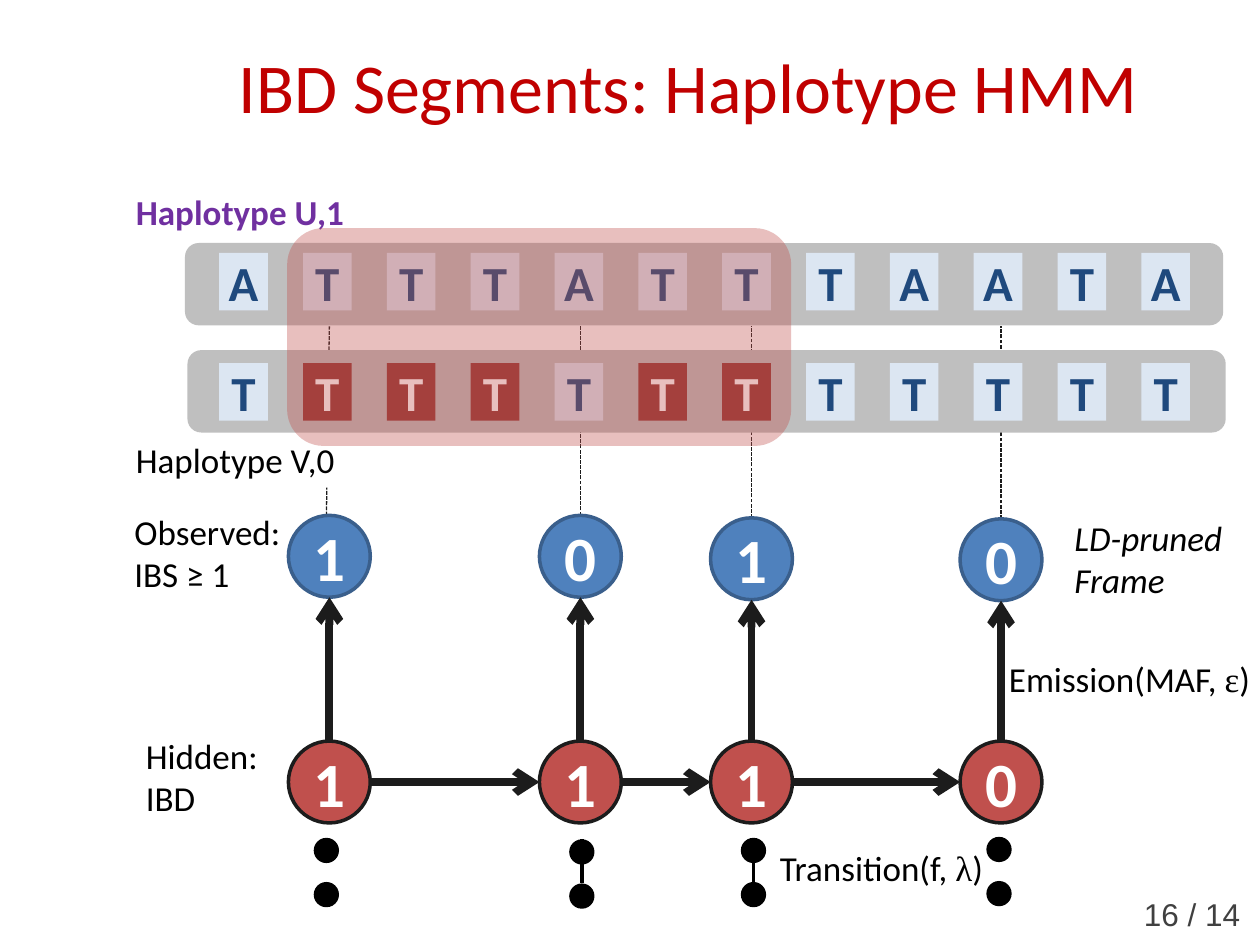
from lxml import etree
from pptx import Presentation
from pptx.dml.color import RGBColor
from pptx.enum.dml import MSO_LINE
from pptx.enum.shapes import MSO_CONNECTOR, MSO_SHAPE
from pptx.enum.text import MSO_ANCHOR, PP_ALIGN
from pptx.oxml.ns import qn
from pptx.util import Cm, Pt

RECT, ROUND, OVAL = MSO_SHAPE.RECTANGLE, MSO_SHAPE.ROUNDED_RECTANGLE, MSO_SHAPE.OVAL
STRAIGHT = MSO_CONNECTOR.STRAIGHT
MIDDLE, CENTER, LEFT = MSO_ANCHOR.MIDDLE, PP_ALIGN.CENTER, PP_ALIGN.LEFT
DASH = MSO_LINE.SQUARE_DOT

INK, BLACK, WHITE = "1C1C1C", "000000", "FFFFFF"
NAVY, PALE, DARK_RED = "1F497D", "DCE6F2", "953735"
BLUE, BLUE_EDGE, RED, GREY = "4F81BD", "3A5F8C", "C0504D", "BFBFBF"

# All lengths are in centimetres.
TITLE = "IBD Segments: Haplotype HMM"
# alleles, indexes of the shared cells, band left, band top, cell top
HAPLOTYPES = [
    ("TTTTTTTTTTTT", {1, 2, 3, 5, 6}, 3.78, 7.06, 7.32),
    ("ATTTATTTAATA", set(), 3.73, 4.9, 5.1),
]
BAND_WIDTH, BAND_HEIGHT = 20.93, 1.66
CELL_LEFT, CELL_PITCH, CELL_WIDTH, CELL_HEIGHT = 4.42, 1.69, 0.98, 1.16
HIGHLIGHT = (5.79, 4.6, 10.16, 4.39)

# centre x, observed state, observed top, hidden state, dot centre x, dot top, dots joined
SITES = [
    (6.64, "1", 10.39, "1", 6.58, 16.89, False),
    (11.7, "0", 10.39, "1", 11.73, 16.92, True),
    (15.15, "1", 10.44, "1", 15.19, 16.89, True),
    (20.18, "0", 10.46, "0", 20.14, 16.87, False),
]
NODE, HIDDEN_TOP = 1.65, 14.94
DOT, DOT_PITCH = 0.51, 0.89
GUIDE_END = 6.58

# left, top, width, height, fill, font options, runs of (text, font)
LABELS = [
    (2.49, 3.71, 6.25, 1.12, WHITE, {"color": "7030A0", "bold": True},
     [("Haplotype U,1", "Calibri")]),
    (2.49, 8.71, 6.02, 1.12, WHITE, {}, [("Haplotype V,0", "Calibri")]),
    (2.46, 10.16, 4.29, 1.96, None, {}, [("Observed: IBS ≥ 1", "Calibri")]),
    (2.69, 14.68, 2.92, 1.96, None, {}, [("Hidden: IBD", "Calibri")]),
    (20.09, 13.13, 5.41, 1.12, None, {},
     [("Emission(MAF, ", "Calibri"), ("ε", "Times New Roman"), (")", "Calibri")]),
    (15.47, 16.94, 4.8, 1.12, None, {},
     [("Transition(f, ", "Calibri"), ("λ", "Times New Roman"), (")", "Calibri")]),
    (21.41, 10.29, 4.29, 1.96, None, {"italic": True}, [("LD-pruned Frame", "Calibri")]),
    (22.81, 17.91, 2.54, 1.02, None, {"size": 18, "color": "404040"},
     [("16 / 14", "Arial")]),
]


def rgb(value):
    return RGBColor.from_string(value)


def write(shape, runs, size=20, color=BLACK, bold=False, italic=False, align=LEFT):
    para = shape.text_frame.paragraphs[0]
    para.alignment = align
    for text, font in runs:
        span = para.add_run()
        span.text = text
        span.font.name = font
        span.font.size = Pt(size)
        span.font.bold = bold
        span.font.italic = italic
        span.font.color.rgb = rgb(color)


def add_shape(page, kind, left, top, width, height, fill, edge=None):
    shape = page.shapes.add_shape(kind, Cm(left), Cm(top), Cm(width), Cm(height))
    shape.shadow.inherit = False
    shape.fill.solid()
    shape.fill.fore_color.rgb = rgb(fill)
    if edge:
        shape.line.color.rgb = rgb(edge)
        shape.line.width = Pt(2)
    else:
        shape.line.fill.background()
    return shape


def add_line(page, x1, y1, x2, y2, width, color=INK, dash=None, arrow=False):
    line = page.shapes.add_connector(STRAIGHT, Cm(x1), Cm(y1), Cm(x2), Cm(y2))
    line.line.color.rgb = rgb(color)
    line.line.width = Pt(width)
    if dash:
        line.line.dash_style = dash
    properties = line._element.spPr
    if arrow:
        etree.SubElement(properties.find(qn("a:ln")), qn("a:tailEnd"), type="arrow")
    etree.SubElement(properties, qn("a:effectLst"))


def add_label(page, left, top, width, height, fill, options, runs):
    box = page.shapes.add_textbox(Cm(left), Cm(top), Cm(width), Cm(height))
    box.text_frame.word_wrap = True
    if fill:
        box.fill.solid()
        box.fill.fore_color.rgb = rgb(fill)
    write(box, runs, **options)


def add_haplotype(page, alleles, shared, band_left, band_top, cell_top):
    add_shape(page, ROUND, band_left, band_top, BAND_WIDTH, BAND_HEIGHT, GREY)
    for index, allele in enumerate(alleles):
        fill, color = (DARK_RED, WHITE) if index in shared else (PALE, NAVY)
        cell = add_shape(page, RECT, CELL_LEFT + index * CELL_PITCH, cell_top,
                         CELL_WIDTH, CELL_HEIGHT, fill)
        frame = cell.text_frame
        frame.word_wrap = False
        frame.vertical_anchor = MIDDLE
        frame.margin_left = frame.margin_right = 0
        frame.margin_top = frame.margin_bottom = 0
        write(cell, [(allele, "Calibri")], 28, color, bold=True, align=CENTER)


def add_node(page, center, top, state, fill, edge):
    node = add_shape(page, OVAL, center - NODE / 2, top, NODE, NODE, fill, edge)
    node.text_frame.vertical_anchor = MIDDLE
    write(node, [(state, "Calibri")], 36, WHITE, bold=True, align=CENTER)


def add_site(page, center, observed, observed_top, hidden, dot_center, dot_top, joined):
    add_node(page, center, observed_top, observed, BLUE, BLUE_EDGE)
    add_node(page, center, HIDDEN_TOP, hidden, RED, INK)
    add_line(page, center, HIDDEN_TOP, center, observed_top + NODE, 4.5, arrow=True)
    if joined:
        add_line(page, dot_center, dot_top, dot_center, dot_top + DOT_PITCH, 2.25, BLACK)
    for top in (dot_top, dot_top + DOT_PITCH):
        add_shape(page, OVAL, dot_center - DOT / 2, top, DOT, DOT, BLACK)


def main():
    deck = Presentation()
    deck.slide_width, deck.slide_height = Cm(25.4), Cm(19.05)
    page = deck.slides.add_slide(deck.slide_layouts[5])

    title = page.shapes.title
    title.left, title.top, title.width, title.height = Cm(2.44), Cm(0.13), Cm(22.86), Cm(3.18)
    title.text_frame.vertical_anchor = MIDDLE
    write(title, [(TITLE, "Calibri")], 40, "C00000", align=CENTER)

    for index, (center, _, observed_top, *_) in enumerate(SITES):
        start = center if index else center - 0.06
        add_line(page, start, observed_top, center, GUIDE_END, 0.75, dash=DASH)
    for label in LABELS:
        add_label(page, *label)
    for haplotype in HAPLOTYPES:
        add_haplotype(page, *haplotype)
    for site in SITES:
        add_site(page, *site)
    middle = HIDDEN_TOP + NODE / 2
    for source, target in zip(SITES, SITES[1:]):
        add_line(page, source[0] + NODE / 2, middle, target[0] - NODE / 2, middle,
                 4.5, arrow=True)

    highlight = add_shape(page, ROUND, *HIGHLIGHT, RED)
    color = highlight._element.spPr.find(qn("a:solidFill")).find(qn("a:srgbClr"))
    etree.SubElement(color, qn("a:alpha"), val="36000")
    deck.save("out.pptx")


if __name__ == "__main__":
    main()
